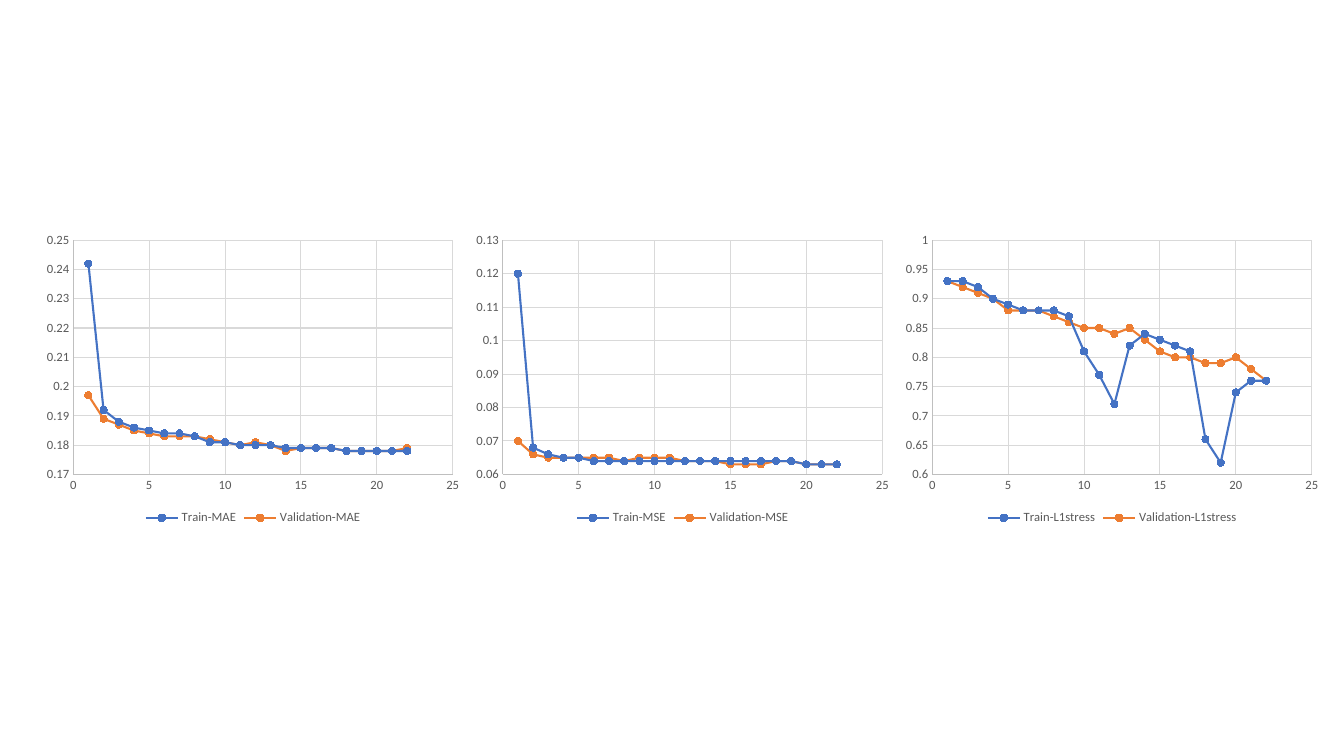
from pptx import Presentation
from pptx.chart.data import XyChartData
from pptx.dml.color import RGBColor
from pptx.enum.chart import (XL_CHART_TYPE as CT, XL_LEGEND_POSITION as LP,
                             XL_MARKER_STYLE as MS, XL_TICK_MARK as TM)
from pptx.util import Inches, Pt

COLORS = {"train": "4472C4", "validation": "ED7D31", "text": "595959",
          "axis": "BFBFBF", "grid": "D9D9D9", "base": "000000"}

CURVES = [
    ("MAE", 0.17, 0.25, 0.01,
     [0.242, 0.192, 0.188, 0.186, 0.185, 0.184, 0.184, 0.183, 0.181, 0.181, 0.18,
      0.18, 0.18, 0.179, 0.179, 0.179, 0.179, 0.178, 0.178, 0.178, 0.178, 0.178],
     [0.197, 0.189, 0.187, 0.185, 0.184, 0.183, 0.183, 0.183, 0.182, 0.181, 0.18,
      0.181, 0.18, 0.178, 0.179, 0.179, 0.179, 0.178, 0.178, 0.178, 0.178, 0.179]),
    ("MSE", 0.06, 0.13, 0.01,
     [0.12, 0.068, 0.066, 0.065, 0.065] + [0.064] * 14 + [0.063] * 3,
     [0.07, 0.066, 0.065, 0.065, 0.065, 0.065, 0.065, 0.064, 0.065, 0.065, 0.065,
      0.064, 0.064, 0.064, 0.063, 0.063, 0.063, 0.064, 0.064, 0.063, 0.063, 0.063]),
    ("L1stress", 0.6, 1, 0.05,
     [0.93, 0.93, 0.92, 0.9, 0.89, 0.88, 0.88, 0.88, 0.87, 0.81, 0.77,
      0.72, 0.82, 0.84, 0.83, 0.82, 0.81, 0.66, 0.62, 0.74, 0.76, 0.76],
     [0.93, 0.92, 0.91, 0.9, 0.88, 0.88, 0.88, 0.87, 0.86, 0.85, 0.85,
      0.84, 0.85, 0.83, 0.81, 0.8, 0.8, 0.79, 0.79, 0.8, 0.78, 0.76]),
]


class Deck:
    """Hold the style, the three-column grid and the current slide."""

    left, top, col_w, row_h = 0.38, 2.25, 4.26, 3
    font_name = "Calibri"

    def __init__(self):
        self.prs = Presentation()
        self.prs.slide_width, self.prs.slide_height = Inches(13.33), Inches(7.5)
        self.s = self.prs.slides.add_slide(self.prs.slide_layouts[6])

    def font(self, font, size, color):
        font.name, font.size = self.font_name, Pt(size)
        font.color.rgb = RGBColor.from_string(COLORS[color])

    def line(self, fmt, color, width):
        fmt.line.color.rgb = RGBColor.from_string(COLORS[color])
        fmt.line.width = Pt(width)

    def axis(self, axis, low, high, step):
        axis.minimum_scale, axis.maximum_scale, axis.major_unit = low, high, step
        axis.major_tick_mark = axis.minor_tick_mark = TM.NONE
        axis.has_major_gridlines = True
        self.line(axis.major_gridlines.format, "grid", 0.75)
        self.line(axis.format, "axis", 0.75)
        self.font(axis.tick_labels.font, 9, "text")
        axis.tick_labels.number_format = "General"
        axis.tick_labels.number_format_is_linked = False

    def series(self, series, color):
        series.smooth = True
        self.line(series.format, color, 1.5)
        series.marker.style, series.marker.size = MS.CIRCLE, 5
        fill = series.marker.format.fill
        fill.solid()
        fill.fore_color.rgb = RGBColor.from_string(COLORS[color])
        self.line(series.marker.format, color, 0.75)

    def scatter(self, col, metric, low, high, step, train, validation):
        data = XyChartData()
        for name, values in (("Train", train), ("Validation", validation)):
            points = data.add_series(f"{name}-{metric}")
            for epoch, value in enumerate(values, 1):
                points.add_data_point(epoch, value)
        chart = self.s.shapes.add_chart(
            CT.XY_SCATTER_SMOOTH, Inches(self.left + col * self.col_w),
            Inches(self.top), Inches(self.col_w), Inches(self.row_h), data).chart
        self.font(chart.font, 10, "base")
        chart.has_title = False
        chart.has_legend = True
        chart.legend.position = LP.BOTTOM
        chart.legend.include_in_layout = False
        self.font(chart.legend.font, 9, "text")
        self.axis(chart.category_axis, 0, 25, 5)
        self.axis(chart.value_axis, low, high, step)
        plot = chart.plots[0]
        plot.vary_by_categories = False
        for series, color in zip(plot.series, ("train", "validation")):
            self.series(series, color)


def main():
    deck = Deck()
    for col, curve in enumerate(CURVES):
        deck.scatter(col, *curve)
    deck.prs.save("out.pptx")


if __name__ == "__main__":
    main()
